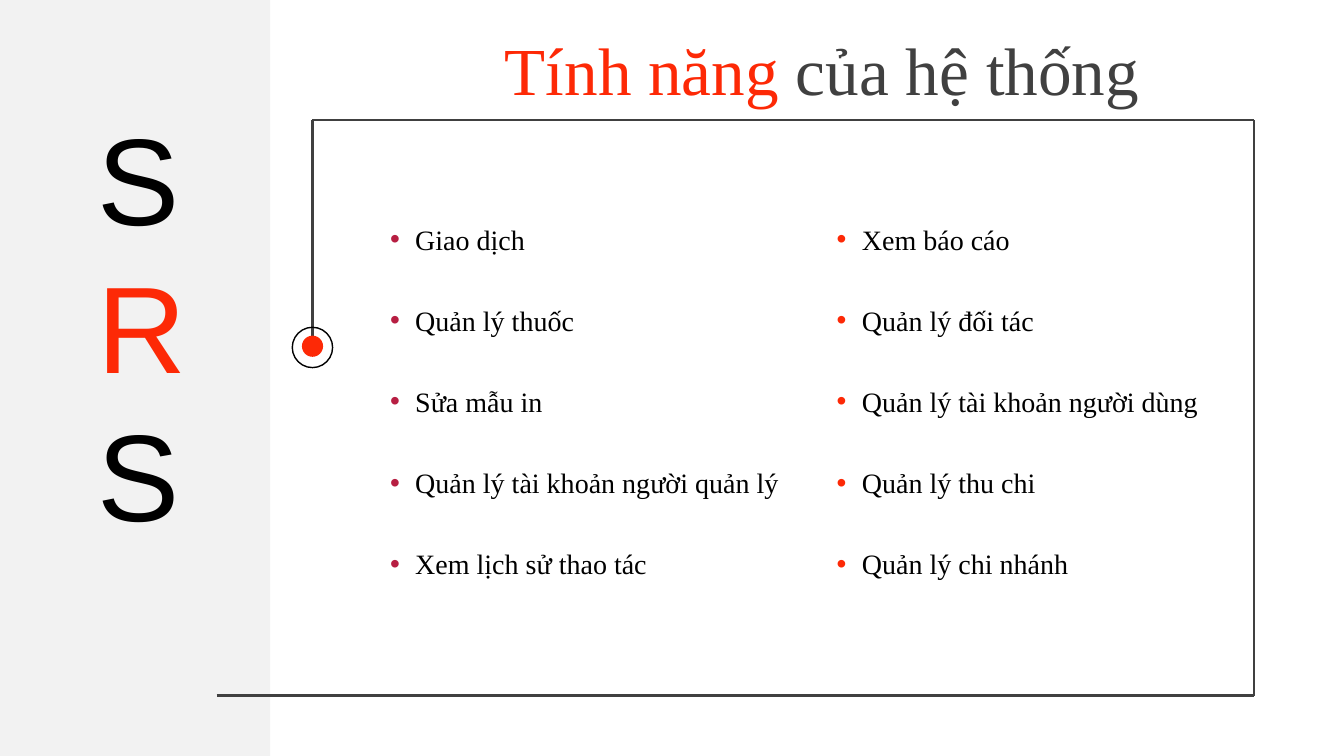
from dataclasses import dataclass

from lxml import etree
from pptx import Presentation
from pptx.dml.color import RGBColor
from pptx.enum.shapes import MSO_CONNECTOR, MSO_SHAPE
from pptx.enum.text import MSO_ANCHOR, MSO_AUTO_SIZE, PP_ALIGN
from pptx.oxml.ns import qn
from pptx.util import Pt

STRAIGHT = MSO_CONNECTOR.STRAIGHT
RECTANGLE, OVAL = MSO_SHAPE.RECTANGLE, MSO_SHAPE.OVAL
MIDDLE, TOP = MSO_ANCHOR.MIDDLE, MSO_ANCHOR.TOP
NO_AUTOFIT = MSO_AUTO_SIZE.NONE
LEFT, CENTER = PP_ALIGN.LEFT, PP_ALIGN.CENTER


@dataclass(frozen=True)
class Theme:
    accent: str = "FD2906"
    berry: str = "B71E42"
    ink: str = "000000"
    slate: str = "404040"
    panel: str = "F2F2F2"
    serif: str = "Times New Roman"
    sans: str = "Arial"
    title_size: float = 48
    letter_size: float = 88
    item_size: float = 20


@dataclass(frozen=True)
class Box:
    left: float
    top: float
    width: float
    height: float


@dataclass(frozen=True)
class Line:
    x1: float
    y1: float
    x2: float
    y2: float


@dataclass(frozen=True)
class FeatureList:
    box: Box
    bullet_color: str
    items: tuple[str, ...]


THEME = Theme()
FRAME_LEFT, FRAME_TOP, FRAME_RIGHT, FRAME_BOTTOM = 223.2, 85.7, 895.7, 496.8
MARKER_Y = 248.2
FRAME_LINES = (
    Line(FRAME_LEFT, FRAME_TOP, FRAME_RIGHT, FRAME_TOP),
    Line(FRAME_RIGHT, FRAME_TOP, FRAME_RIGHT, FRAME_BOTTOM),
    Line(154.8, FRAME_BOTTOM, FRAME_RIGHT, FRAME_BOTTOM),
    Line(FRAME_LEFT, FRAME_TOP, FRAME_LEFT, 240),
)
FEATURES = (
    FeatureList(Box(271.4, 131, 292.3, 283), THEME.berry, (
        "Giao dịch", "Quản lý thuốc", "Sửa mẫu in",
        "Quản lý tài khoản người quản lý", "Xem lịch sử thao tác")),
    FeatureList(Box(590.4, 131, 279.4, 365.8), THEME.accent, (
        "Xem báo cáo", "Quản lý đối tác", "Quản lý tài khoản người dùng",
        "Quản lý thu chi", "Quản lý chi nhánh")),
)


def rgb(color: str) -> RGBColor:
    return RGBColor.from_string(color)


def place(shape, box: Box) -> None:
    shape.left, shape.top = Pt(box.left), Pt(box.top)
    shape.width, shape.height = Pt(box.width), Pt(box.height)


def prepare_frame(shape, anchor=TOP):
    frame = shape.text_frame
    frame.word_wrap = True
    frame.auto_size = NO_AUTOFIT
    frame.vertical_anchor = anchor
    return frame


def next_para(frame, index: int):
    return frame.paragraphs[0] if index == 0 else frame.add_paragraph()


def add_span(para, text: str, *, size: float, font: str, color: str) -> None:
    span = para.add_run()
    span.text = text
    span.font.size = Pt(size)
    span.font.name = font
    span.font.color.rgb = rgb(color)


def set_bullet(para, color: str, indent: float = 18) -> None:
    """Give the paragraph a coloured round bullet with a hanging indent."""
    properties = para._p.get_or_add_pPr()
    properties.set("marL", str(Pt(indent)))
    properties.set("indent", str(-Pt(indent)))
    bullet_color = etree.SubElement(properties, qn("a:buClr"))
    etree.SubElement(bullet_color, qn("a:srgbClr"), val=color)
    etree.SubElement(properties, qn("a:buFont"), typeface=THEME.sans)
    etree.SubElement(properties, qn("a:buChar"), char="•")


def add_plain_shape(page, kind, box: Box, fill: str | None = None,
                    line: str | None = None) -> None:
    shape = page.shapes.add_shape(kind, 0, 0, 0, 0)
    place(shape, box)
    shape.shadow.inherit = False
    if fill:
        shape.fill.solid()
        shape.fill.fore_color.rgb = rgb(fill)
    else:
        shape.fill.background()
    if line:
        shape.line.color.rgb = rgb(line)
        shape.line.width = Pt(1)
    else:
        shape.line.fill.background()


def add_line(page, line: Line) -> None:
    connector = page.shapes.add_connector(
        STRAIGHT, Pt(line.x1), Pt(line.y1), Pt(line.x2), Pt(line.y2))
    connector.line.color.rgb = rgb(THEME.slate)
    connector.line.width = Pt(1.5)
    etree.SubElement(connector._element.spPr, qn("a:effectLst"))


def add_marker(page, diameter: float, center_y: float, **look: str) -> None:
    radius = diameter / 2
    box = Box(FRAME_LEFT - radius, center_y - radius, diameter, diameter)
    add_plain_shape(page, OVAL, box, **look)


def fill_title(title) -> None:
    place(title, Box(233.3, 13, 707.8, 60.5))
    para = prepare_frame(title, MIDDLE).paragraphs[0]
    para.alignment = CENTER
    para.line_spacing = 1.2
    for text, color in (("Tính năng ", THEME.accent),
                        ("của hệ thống", THEME.slate)):
        add_span(para, text, size=THEME.title_size, font=THEME.serif,
                 color=color)


def fill_features(body, features: FeatureList) -> None:
    place(body, features.box)
    frame = prepare_frame(body)
    for index, item in enumerate(features.items):
        para = next_para(frame, index)
        para.alignment = LEFT
        para.line_spacing = 2.0
        para.space_before = Pt(10)
        set_bullet(para, features.bullet_color)
        add_span(para, item, size=THEME.item_size, font=THEME.serif,
                 color=THEME.ink)


def add_letters(page) -> None:
    column = page.shapes.add_textbox(0, 0, 0, 0)
    place(column, Box(62.6, 69.8, 138.2, 326.9))
    frame = prepare_frame(column)
    colors = (THEME.ink, THEME.accent, THEME.ink)
    for index, (letter, color) in enumerate(zip("SRS", colors)):
        add_span(next_para(frame, index), letter, size=THEME.letter_size,
                 font=THEME.sans, color=color)


def main() -> None:
    deck = Presentation()
    deck.slide_width, deck.slide_height = Pt(960), Pt(540)
    two_content = deck.slide_layouts[3]
    page = deck.slides.add_slide(two_content)
    title, *bodies = page.placeholders
    fill_title(title)
    for body, features in zip(bodies, FEATURES):
        fill_features(body, features)
    add_plain_shape(page, RECTANGLE, Box(0, 0, 193, 540), fill=THEME.panel)
    for line in FRAME_LINES:
        add_line(page, line)
    add_marker(page, 15.1, MARKER_Y - 0.9, fill=THEME.accent)
    add_marker(page, 28.8, MARKER_Y, line=THEME.ink)
    add_letters(page)
    deck.save("out.pptx")


if __name__ == "__main__":
    main()
